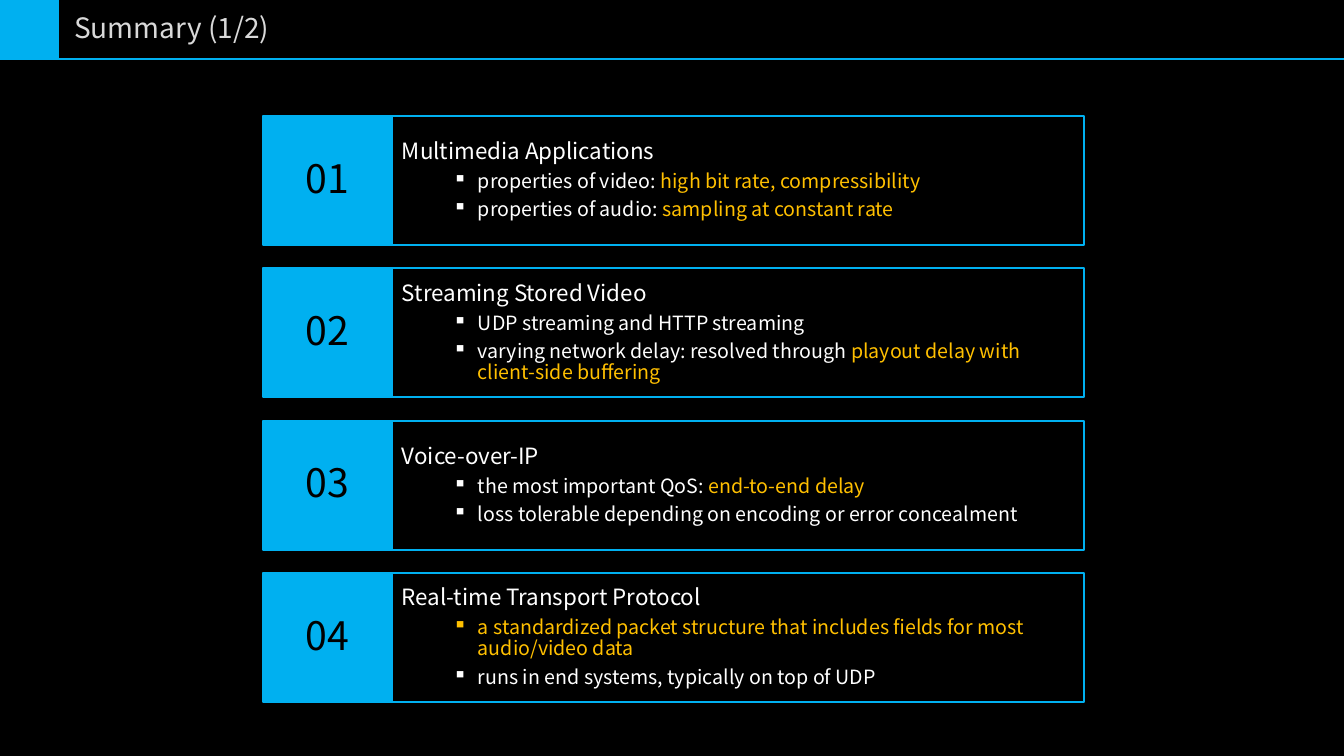
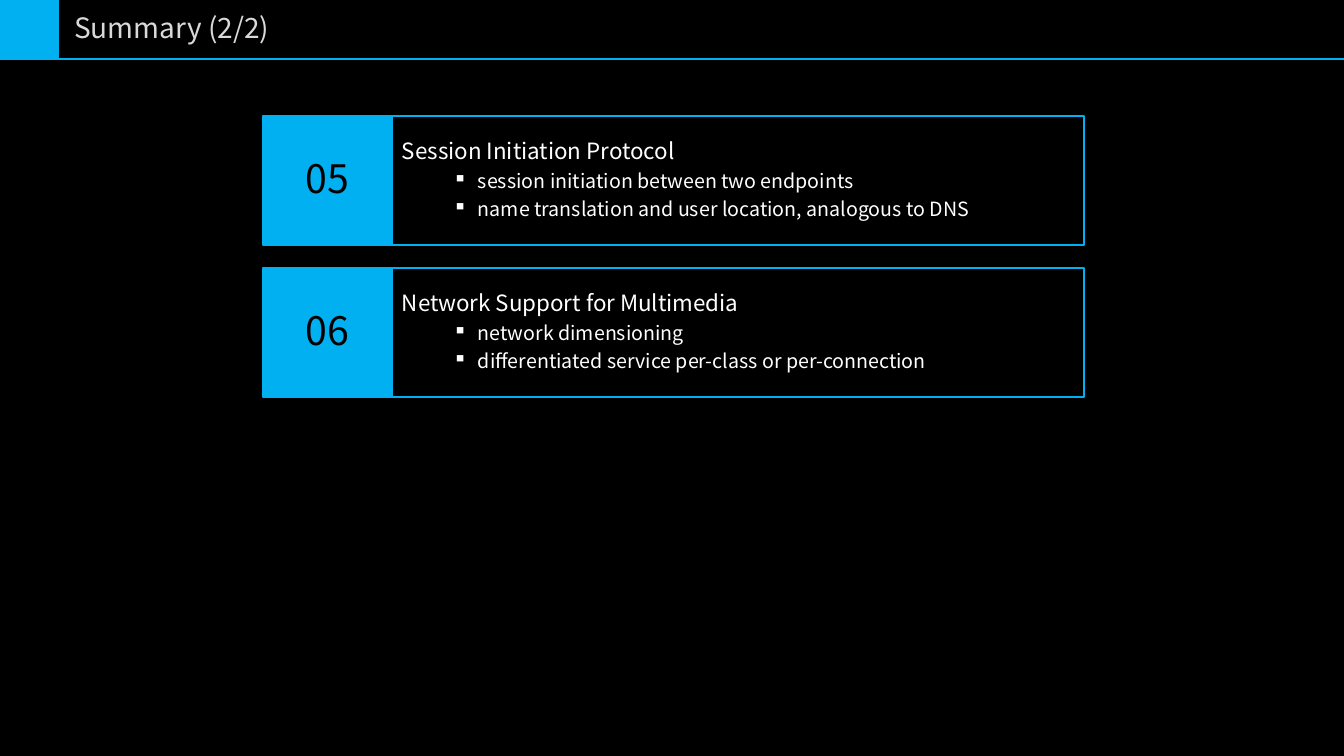
from lxml import etree
from pptx import Presentation
from pptx.dml.color import RGBColor
from pptx.enum.shapes import MSO_CONNECTOR, MSO_SHAPE
from pptx.enum.text import MSO_ANCHOR, MSO_AUTO_SIZE, PP_ALIGN
from pptx.oxml.ns import qn
from pptx.util import Pt

RECT, STRAIGHT = MSO_SHAPE.RECTANGLE, MSO_CONNECTOR.STRAIGHT
MIDDLE, NO_FIT = MSO_ANCHOR.MIDDLE, MSO_AUTO_SIZE.NONE
LEFT, CENTER = PP_ALIGN.LEFT, PP_ALIGN.CENTER

BLACK = RGBColor(0x00, 0x00, 0x00)
WHITE = RGBColor(0xFF, 0xFF, 0xFF)
SILVER = RGBColor(0xD9, 0xD9, 0xD9)
BLUE = RGBColor(0x00, 0xB0, 0xF0)
AMBER = RGBColor(0xFF, 0xC0, 0x00)

FONT = "Noto Sans CJK KR"
SLIDE_W, SLIDE_H = 1344, 756
EMU_PER_PX = 12192000 / SLIDE_W

BAND_H = 59
TITLE_BOX = (64, 10, 743, 39)
TILE_X, TILE_SIZE = 263, 129
PANEL_X, PANEL_W = TILE_X + TILE_SIZE, 692
STACK_TOP, STACK_H, STACK_ROWS = 116, 586, 4
ROW_PITCH = (STACK_H - TILE_SIZE) / (STACK_ROWS - 1)
BULLET_MARGIN, BULLET_INDENT = 76, -25

TITLE_FONT = {"size": Pt(20), "color": SILVER}
TILE_FONT = {"size": Pt(28), "color": BLACK}
HEADING_FONT = {"size": Pt(16), "color": WHITE}
BULLET_FONT = {"size": Pt(14), "color": WHITE}
KEY_FONT = {"size": Pt(14), "color": AMBER}

# Each card is a heading and its bullets; a bullet is (plain text, highlighted text).
SLIDES = [
    ("Summary (1/2)", [
        ("Multimedia Applications", [
            ("properties of video: ", "high bit rate, compressibility"),
            ("properties of audio: ", "sampling at constant rate")]),
        ("Streaming Stored Video", [
            ("UDP streaming and HTTP streaming", ""),
            ("varying network delay: resolved through ",
             "playout delay with client-side buffering")]),
        ("Voice-over-IP", [
            ("the most important QoS: ", "end-to-end delay"),
            ("loss tolerable depending on encoding or error concealment", "")]),
        ("Real-time Transport Protocol", [
            ("", "a standardized packet structure that includes fields "
                 "for most audio/video data"),
            ("runs in end systems, typically on top of UDP", "")]),
    ]),
    ("Summary (2/2)", [
        ("Session Initiation Protocol", [
            ("session initiation between two endpoints", ""),
            ("name translation and user location, analogous to DNS", "")]),
        ("Network Support for Multimedia", [
            ("network dimensioning", ""),
            ("differentiated service per-class or per-connection", "")]),
    ]),
]


def px(*lengths):
    return [round(n * EMU_PER_PX) for n in lengths]


def add_run(p, text, fmt):
    r = p.add_run()
    r.text = text
    r.font.name = FONT
    for name, value in fmt.items():
        if name == "color":
            r.font.color.rgb = value
        else:
            setattr(r.font, name, value)


def format_paragraph(p, before, align=LEFT):
    values = {"alignment": align, "line_spacing": 0.9, "space_before": Pt(before)}
    for name, value in values.items():
        setattr(p, name, value)


def format_frame(tf):
    values = {"word_wrap": True, "auto_size": NO_FIT, "vertical_anchor": MIDDLE}
    for name, value in values.items():
        setattr(tf, name, value)


def add_box(slide, box, fill=None, line=BLUE):
    sp = slide.shapes.add_shape(RECT, *px(*box))
    sp.shadow.inherit = False
    if fill is None:
        sp.fill.background()
    else:
        sp.fill.solid()
        sp.fill.fore_color.rgb = fill
    if line is None:
        sp.line.fill.background()
    else:
        sp.line.color.rgb = line
        sp.line.width = Pt(1.5)
    format_frame(sp.text_frame)
    return sp


def add_rule(slide, x1, x2, y):
    cxn = slide.shapes.add_connector(STRAIGHT, *px(x1, y, x2, y))
    cxn.line.color.rgb = BLUE
    cxn.line.width = Pt(1.5)
    etree.SubElement(cxn.element.spPr, qn("a:effectLst"))
    return cxn


def add_bullet(tf, plain, key):
    p = tf.add_paragraph()
    format_paragraph(p, 5)
    p.level = 1
    margin, indent = px(BULLET_MARGIN, BULLET_INDENT)
    pPr = p._p.get_or_add_pPr()
    pPr.set("marL", str(margin))
    pPr.set("indent", str(indent))
    etree.SubElement(pPr, qn("a:buChar")).set("char", "▪")
    for text, fmt in ((plain, BULLET_FONT), (key, KEY_FONT)):
        if text:
            add_run(p, text, fmt)


def add_card(slide, row, number, heading, bullets):
    """Add a numbered tile with its text panel on the given row."""
    y = STACK_TOP + row * ROW_PITCH
    tf = add_box(slide, (PANEL_X, y, PANEL_W, TILE_SIZE)).text_frame
    p = tf.paragraphs[0]
    format_paragraph(p, 10)
    add_run(p, heading, HEADING_FONT)
    for plain, key in bullets:
        add_bullet(tf, plain, key)

    tile = add_box(slide, (TILE_X, y, TILE_SIZE, TILE_SIZE), fill=BLUE)
    p = tile.text_frame.paragraphs[0]
    format_paragraph(p, 10, CENTER)
    add_run(p, f"{number:02d}", TILE_FONT)


def set_title(slide, text):
    title = slide.shapes.title
    title.left, title.top, title.width, title.height = px(*TITLE_BOX)
    format_frame(title.text_frame)
    p = title.text_frame.paragraphs[0]
    format_paragraph(p, 0)
    add_run(p, text, TITLE_FONT)


def move_band_to_layout(slide):
    """Draw the title band, then hand it to the layout that all slides share."""
    layout = slide.slide_layout
    layout.background.fill.solid()
    layout.background.fill.fore_color.rgb = BLACK
    tree = layout.shapes.element
    for ph in list(layout.placeholders)[1:]:
        tree.remove(ph.element)
    square = add_box(slide, (0, 0, BAND_H, BAND_H), fill=BLUE, line=None)
    rule = add_rule(slide, 0, SLIDE_W, BAND_H)
    for sp in (square, rule):
        tree.append(sp.element)


def main():
    prs = Presentation()
    prs.slide_width, prs.slide_height = px(SLIDE_W, SLIDE_H)
    layout = prs.slide_layouts.get_by_name("Title Only")
    number = 0
    for title, cards in SLIDES:
        slide = prs.slides.add_slide(layout)
        if number == 0:
            move_band_to_layout(slide)
        set_title(slide, title)
        for row, (heading, bullets) in enumerate(cards):
            number += 1
            add_card(slide, row, number, heading, bullets)
    prs.save("out.pptx")


if __name__ == "__main__":
    main()
